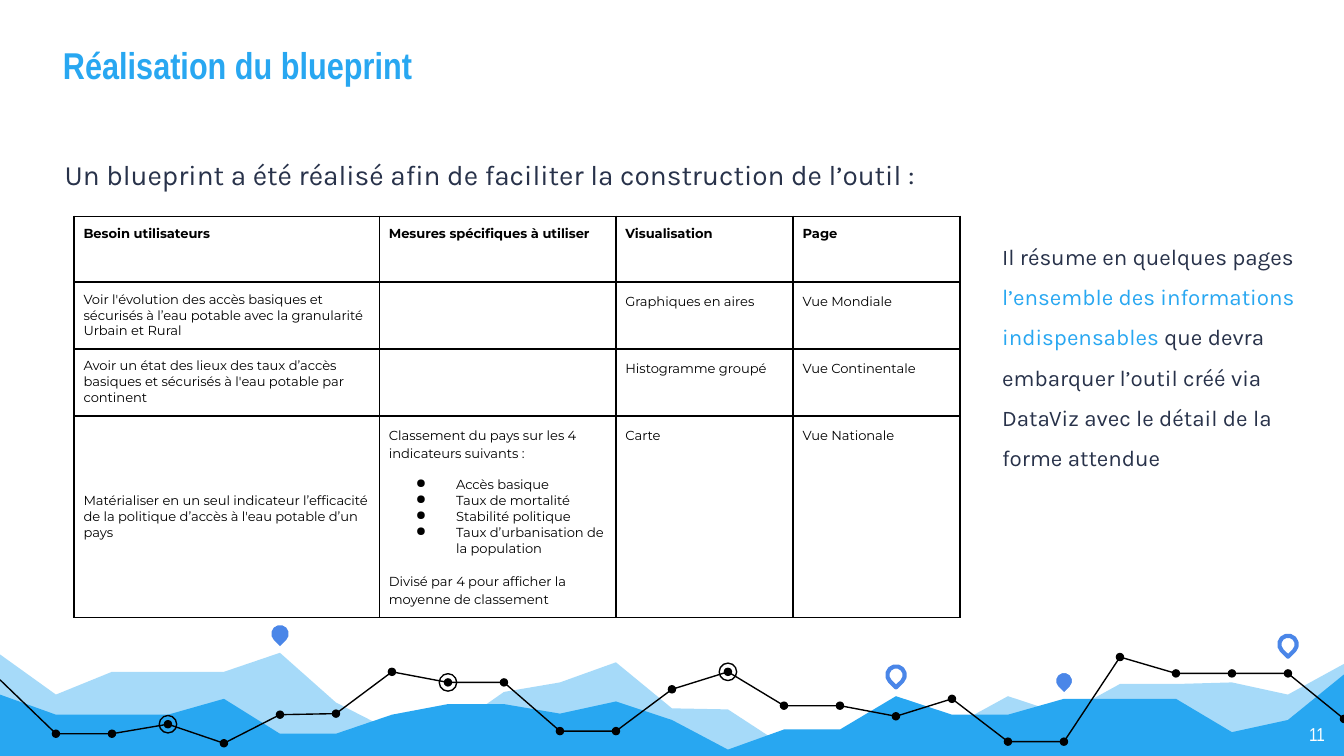
from lxml.etree import SubElement
from pptx import Presentation
from pptx.dml.color import RGBColor
from pptx.enum.shapes import MSO_SHAPE
from pptx.enum.text import MSO_ANCHOR, MSO_AUTO_SIZE, PP_ALIGN
from pptx.oxml.ns import qn
from pptx.util import Cm, Pt

COLORS = {"sky": "28A7F1", "pin": "4A86E8", "ink": "28324A",
          "black": "000000", "white": "FFFFFF"}

FONTS = {
    "title": {"name": "Arial Narrow", "size": Pt(20), "bold": True},
    "number": {"name": "Arial Narrow", "size": Pt(10)},
    "intro": {"name": "Karla", "size": Pt(15)},
    "summary": {"name": "Karla", "size": Pt(12)},
    "header": {"name": "Montserrat", "size": Pt(7), "bold": True},
    "cell": {"name": "Montserrat", "size": Pt(7), "bold": False},
}

PARAGRAPHS = {
    "plain": {"alignment": PP_ALIGN.LEFT},
    "number": {"alignment": PP_ALIGN.RIGHT},
    "body": {"line_spacing": 1.5, "space_before": Pt(6)},
    "cell": {"line_spacing": 1.15, "space_before": Pt(8)},
    "first bullet": {"space_before": Pt(8)},
    "bullet": {"space_before": Pt(0)},
}

FRAME = {"word_wrap": True, "auto_size": MSO_AUTO_SIZE.NONE,
         **{f"margin_{side}": Cm(0.25) for side in ("left", "top", "right", "bottom")}}

HEADERS = ["Besoin utilisateurs", "Mesures spécifiques à utiliser", "Visualisation", "Page"]
MEASURES = [
    ("cell", "Classement du pays sur les 4 indicateurs suivants :"),
    ("first bullet", "Accès basique"),
    ("bullet", "Taux de mortalité"),
    ("bullet", "Stabilité politique"),
    ("bullet", "Taux d’urbanisation de la population"),
    ("cell", "Divisé par 4 pour afficher la moyenne de classement"),
]
NEEDS = [
    ("Voir l'évolution des accès basiques et sécurisés à l’eau potable avec la granularité "
     "Urbain et Rural", [], "Graphiques en aires", "Vue Mondiale"),
    ("Avoir un état des lieux des taux d’accès basiques et sécurisés à l'eau potable par "
     "continent", [], "Histogramme groupé", "Vue Continentale"),
    ("Matérialiser en un seul indicateur l’efficacité de la politique d’accès à l'eau potable "
     "d’un pays", MEASURES, "Carte", "Vue Nationale"),
]
COLUMN_WIDTHS = [5.77, 4.47, 3.35, 3.15]
ROW_HEIGHTS = [1.24, 1.24, 1.24, 3.75]

BACK_HILLS = [0.57, 1.33, 0.9, 0.9, 0.9, 0.54, 1.48, 2.02, 2.02, 1.28, 1.1, 0.72, 1.59,
              1.61, 2.3, 2.3, 1.94, 1.94, 1.36, 1.71, 1.13, 1.13, 1.1, 1.33, 0.75]
FRONT_HILLS = [1.33, 1.71, 1.71, 1.71, 1.41, 2.07, 2.07, 1.71, 1.51, 1.51, 1.69, 1.46, 1.81,
               2.37, 1.99, 1.99, 1.36, 1.71, 1.71, 1.41, 1.41, 1.41, 2.04, 1.81, 0.95]
TRACK = [1.05, 2.07, 2.07, 1.89, 2.25, 1.71, 1.69, 0.9, 1.1, 1.1, 2.02, 2.02, 1.23,
         0.9, 1.54, 1.54, 1.74, 1.41, 2.22, 2.22, 0.62, 0.93, 0.93, 0.93, 1.79]
TRACK_PARTS = [(0, 11), (11, 20), (20, 24)]
RINGED = [3, 8, 13]
PINS = [
    (5, 0.18, {"fill": "pin"}),
    (16, 0.96, {"line": "pin", "weight": 2.25}),
    (19, 1.07, {"fill": "pin", "line": "white"}),
    (23, 0.38, {"line": "pin", "weight": 2.25}),
]


def color(name):
    """Return the named colour."""
    return RGBColor.from_string(COLORS[name])


def apply(target, values):
    """Set every attribute of the format values on the target."""
    for key, value in values.items():
        setattr(target, key, value)


def paint(shape, fill=None, line=None, weight=0.75, alpha=None):
    """Give a shape its fill and outline, and no shadow."""
    shape.shadow.inherit = False
    if fill:
        shape.fill.solid()
        shape.fill.fore_color.rgb = color(fill)
    else:
        shape.fill.background()
    if alpha:
        tint = shape.fill._xPr.find(qn("a:solidFill"))[0]
        SubElement(tint, qn("a:alpha"), val=str(alpha * 1000))
    if line:
        shape.line.color.rgb = color(line)
        shape.line.width = Pt(weight)
    else:
        shape.line.fill.background()


def write(para, spans, font, layout):
    """Write coloured spans into a paragraph."""
    apply(para, PARAGRAPHS[layout])
    for text, tone in spans:
        span = para.add_run()
        span.text = text
        apply(span.font, FONTS[font])
        span.font.color.rgb = color(tone)


def add_text(page, box, spans, font, layout):
    """Place a text box with one paragraph."""
    frame = page.shapes.add_textbox(*map(Cm, box)).text_frame
    apply(frame, FRAME)
    write(frame.paragraphs[0], spans, font, layout)


def add_title(page, box, text):
    """Move and format the title placeholder."""
    title = page.shapes.title
    apply(title, dict(zip(("left", "top", "width", "height"), map(Cm, box))))
    apply(title.text_frame, {**FRAME, "vertical_anchor": MSO_ANCHOR.MIDDLE})
    write(title.text_frame.paragraphs[0], [(text, "sky")], "title", "plain")


def add_bullet(para):
    """Turn a paragraph into a bulleted one with a hanging indent."""
    properties = para._p.get_or_add_pPr()
    properties.set("marL", str(Cm(1.27)))
    properties.set("indent", str(-Cm(0.76)))
    tint = SubElement(properties, qn("a:buClr"))
    SubElement(tint, qn("a:srgbClr"), val=COLORS["black"])
    SubElement(properties, qn("a:buChar"), char="●")


def fill_cell(cell, entries, font="cell", anchor=MSO_ANCHOR.TOP):
    """Frame a table cell and write its paragraphs."""
    apply(cell, {"vertical_anchor": anchor, **{
        f"margin_{side}": Cm(0.18) for side in ("left", "top", "right", "bottom")}})
    properties = cell._tc.get_or_add_tcPr()
    for side in ("lnL", "lnR", "lnT", "lnB"):
        border = SubElement(properties, qn(f"a:{side}"), w=str(Pt(1)))
        solid = SubElement(border, qn("a:solidFill"))
        SubElement(solid, qn("a:srgbClr"), val=COLORS["black"])
    cell.fill.background()
    for index, (layout, text) in enumerate(entries):
        frame = cell.text_frame
        para = frame.add_paragraph() if index else frame.paragraphs[0]
        write(para, [(text, "black")], font, layout)
        if "bullet" in layout:
            add_bullet(para)


def add_blueprint(page, box):
    """Place the table of user needs."""
    table = page.shapes.add_table(len(ROW_HEIGHTS), len(COLUMN_WIDTHS), *map(Cm, box)).table
    apply(table, {"first_row": False, "horz_banding": False})
    for column, width in zip(table.columns, COLUMN_WIDTHS):
        column.width = Cm(width)
    for row, height in zip(table.rows, ROW_HEIGHTS):
        row.height = Cm(height)
    for column, text in enumerate(HEADERS):
        fill_cell(table.cell(0, column), [("plain", text)], "header")
    for row, (need, measures, visual, view) in enumerate(NEEDS, 1):
        fill_cell(table.cell(row, 0), [("plain", need)], anchor=MSO_ANCHOR.MIDDLE)
        for column, entries in enumerate((measures, [("cell", visual)], [("cell", view)]), 1):
            fill_cell(table.cell(row, column), entries)


def add_landscape(page, box):
    """Place the hills, the dotted track and the pins along the bottom."""
    left, top, width, height = box
    step = width / (len(TRACK) - 1)

    def spot(column, depth):
        return Cm(left + column * step), Cm(top + depth)

    def outline(points, closed, **look):
        builder = page.shapes.build_freeform(*points[0])
        builder.add_line_segments(points[1:], close=closed)
        paint(builder.convert_to_shape(), **look)

    def mark(kind, column, depth, size, turn=0, **look):
        x, y = spot(column, depth)
        shape = page.shapes.add_shape(kind, x - Cm(size / 2), y - Cm(size / 2), Cm(size), Cm(size))
        shape.rotation = turn
        paint(shape, **look)

    base = [spot(len(TRACK) - 1, height), spot(0, height)]
    for hills, alpha in ((BACK_HILLS, 41), (FRONT_HILLS, None)):
        outline([spot(*point) for point in enumerate(hills)] + base, True, fill="sky", alpha=alpha)
    for column, depth, look in PINS:
        mark(MSO_SHAPE.TEAR, column, depth, 0.33, 135, **look)
    for first, last in TRACK_PARTS:
        outline([spot(column, TRACK[column]) for column in range(first, last + 1)],
                False, line="black")
    for column, depth in list(enumerate(TRACK))[1:]:
        mark(MSO_SHAPE.OVAL, column, depth, 0.16, fill="black")
    for column in RINGED:
        mark(MSO_SHAPE.OVAL, column, TRACK[column], 0.33, line="black")


def main():
    """Build the deck."""
    deck = Presentation()
    apply(deck, {"slide_width": Cm(25.4), "slide_height": Cm(14.29)})
    page = deck.slides.add_slide(deck.slide_layouts[5])
    add_landscape(page, (0, 11.8, 25.4, 2.49))
    add_title(page, (0.94, 0.23, 19.43, 1.98), "Réalisation du blueprint")
    add_text(page, (23.77, 13.41, 1.52, 0.89), [("11", "white")], "number", "number")
    add_text(page, (0.97, 2.41, 23.55, 1.14), [
        ("Un blueprint a été réalisé afin de faciliter la construction de l’outil :", "ink"),
    ], "intro", "body")
    add_blueprint(page, (1.4, 4.09, sum(COLUMN_WIDTHS), sum(ROW_HEIGHTS)))
    add_text(page, (18.69, 4.09, 6.22, 4.88), [
        ("Il résume en quelques pages ", "ink"),
        ("l’ensemble des informations indispensables", "sky"),
        (" que devra embarquer l’outil créé via DataViz avec le détail de la forme attendue", "ink"),
    ], "summary", "body")
    deck.save("out.pptx")


if __name__ == "__main__":
    main()
